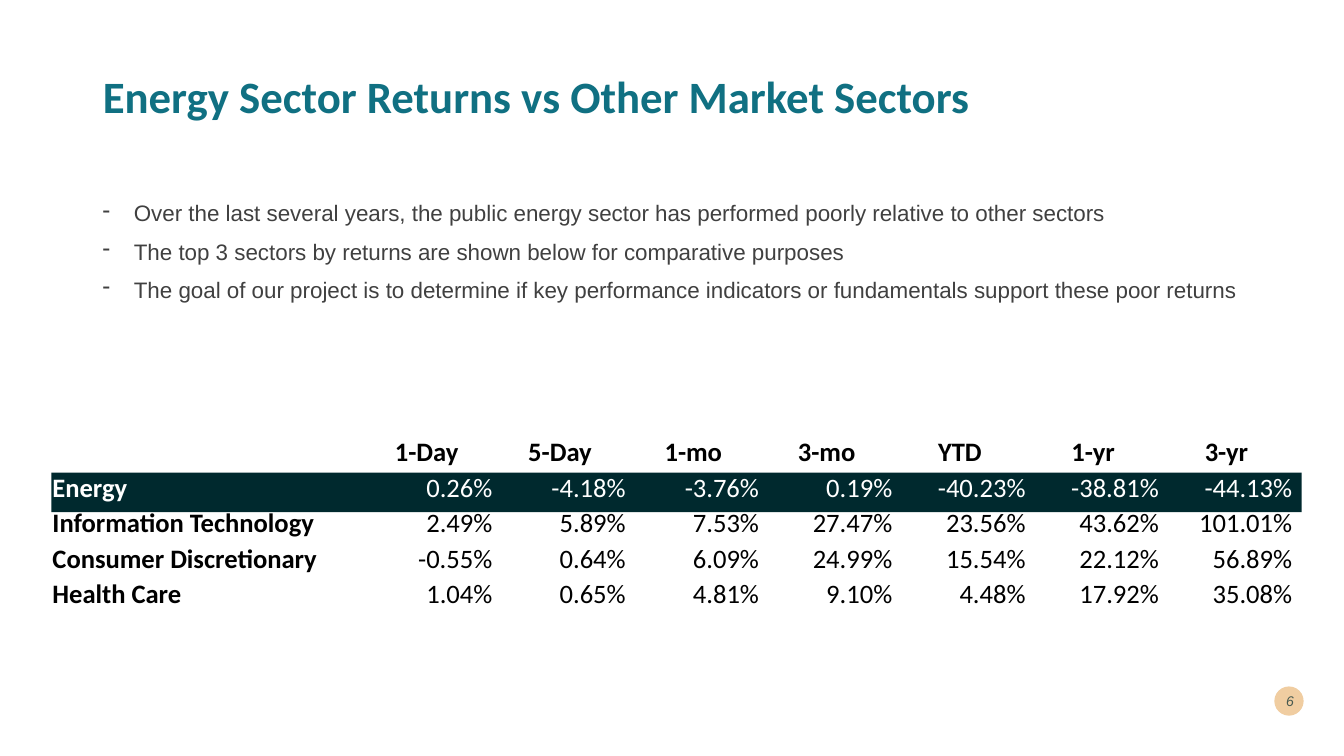
from lxml.etree import SubElement
from pptx import Presentation
from pptx.dml.color import RGBColor
from pptx.enum.shapes import MSO_SHAPE
from pptx.enum.text import MSO_ANCHOR, MSO_AUTO_SIZE, PP_ALIGN
from pptx.oxml.ns import qn
from pptx.util import Inches, Pt

TEAL = RGBColor(0x10, 0x70, 0x82)
DARK = RGBColor(0x00, 0x29, 0x2E)
SAND = RGBColor(0xF0, 0xCD, 0xA1)
GREY = RGBColor(0x40, 0x40, 0x40)
BLACK = RGBColor(0x00, 0x00, 0x00)
WHITE = RGBColor(0xFF, 0xFF, 0xFF)
HEADING, BODY = "Calibri", "Arial"
NO_STYLE = "{2D5ABB26-0587-4C30-8999-92F81FD0307C}"

TITLE = "Energy Sector Returns vs Other Market Sectors"
POINTS = [
    "Over the last several years, the public energy sector has performed poorly relative to other sectors",
    "The top 3 sectors by returns are shown below for comparative purposes",
    "The goal of our project is to determine if key performance indicators or fundamentals support these poor returns",
]
RETURNS = [
    ["", "1-Day", "5-Day", "1-mo", "3-mo", "YTD", "1-yr", "3-yr"],
    ["Energy", "0.26%", "-4.18%", "-3.76%", "0.19%", "-40.23%", "-38.81%", "-44.13%"],
    ["Information Technology", "2.49%", "5.89%", "7.53%", "27.47%", "23.56%", "43.62%", "101.01%"],
    ["Consumer Discretionary", "-0.55%", "0.64%", "6.09%", "24.99%", "15.54%", "22.12%", "56.89%"],
    ["Health Care", "1.04%", "0.65%", "4.81%", "9.10%", "4.48%", "17.92%", "35.08%"],
]


class Deck:
    def __init__(self):
        self.prs = Presentation()
        self.prs.slide_width, self.prs.slide_height = Inches(13.33), Inches(7.5)
        self.s = self.prs.slides.add_slide(self.prs.slide_layouts[5])

    def x(self, percent):
        return round(self.prs.slide_width * percent / 100)

    def y(self, percent):
        return round(self.prs.slide_height * percent / 100)

    def box(self, left, top, width, height):
        return self.x(left), self.y(top), self.x(width), self.y(height)

    def style(self, p, name, size, color, bold=False, italic=False, align=PP_ALIGN.LEFT):
        p.alignment = align
        font = p.font
        font.name, font.size, font.bold, font.italic = name, Pt(size), bold, italic
        font.color.rgb = color

    def title(self, text, *place):
        sp = self.s.shapes.title
        sp.left, sp.top, sp.width, sp.height = self.box(*place)
        tf = sp.text_frame
        tf.text = text
        tf.auto_size = MSO_AUTO_SIZE.NONE
        tf.vertical_anchor = MSO_ANCHOR.BOTTOM
        p = tf.paragraphs[0]
        p.line_spacing = 0.9
        self.style(p, HEADING, 32, TEAL, bold=True)

    def shape(self, kind, color, *place):
        sp = self.s.shapes.add_shape(kind, *self.box(*place))
        sp.shadow.inherit = False
        sp.fill.solid()
        sp.fill.fore_color.rgb = color
        sp.line.fill.background()

    def text(self, *place):
        tf = self.s.shapes.add_textbox(*self.box(*place)).text_frame
        tf.word_wrap = True
        return tf

    def bullets(self, points, *place):
        tf = self.text(*place)
        tf.margin_top = Inches(0.44)
        tf.text = "\n".join(points)
        for p in tf.paragraphs:
            p.line_spacing, p.space_after = 0.9, Pt(10)
            self.style(p, BODY, 16, GREY)
            pPr = p._p.get_or_add_pPr()
            pPr.set("marL", str(Inches(0.31)))
            pPr.set("indent", str(-Inches(0.31)))
            bullet = pPr.makeelement(qn("a:buChar"), {"char": "-"})
            pPr.find(qn("a:defRPr")).addprevious(bullet)

    def page_number(self, number, *place):
        tf = self.text(*place)
        tf.vertical_anchor = MSO_ANCHOR.MIDDLE
        tf.text = number
        p = tf.paragraphs[0]
        self.style(p, BODY, 10, DARK, italic=True, align=PP_ALIGN.RIGHT)
        color = p._p.pPr.find(".//" + qn("a:srgbClr"))
        SubElement(color, qn("a:alpha"), val="70000")

    def table(self, rows, label_width, value_width, *place):
        frame = self.s.shapes.add_table(len(rows), len(rows[0]), *self.box(*place))
        table = frame.table
        table.first_row = table.horz_banding = False
        table._tbl.tblPr.find(qn("a:tableStyleId")).text = NO_STYLE
        for j, column in enumerate(table.columns):
            column.width = self.x(value_width if j else label_width)
        for i, row in enumerate(rows):
            for j, value in enumerate(row):
                self.cell(table.cell(i, j), value, i, j)

    def cell(self, cell, value, i, j):
        cell.fill.background()
        cell.vertical_anchor = MSO_ANCHOR.BOTTOM
        cell.margin_left = cell.margin_right = cell.margin_top = Inches(0.01)
        cell.margin_bottom = 0
        cell.text = value
        align = PP_ALIGN.LEFT if j == 0 else PP_ALIGN.CENTER if i == 0 else PP_ALIGN.RIGHT
        self.style(cell.text_frame.paragraphs[0], HEADING, 19, WHITE if i == 1 else BLACK,
                   bold=i == 0 or j == 0, align=align)


def main():
    deck = Deck()
    deck.title(TITLE, 6.9, 6.67, 79.07, 10.27)
    deck.shape(MSO_SHAPE.OVAL, SAND, 94.82, 90.8, 2.18, 3.87)
    deck.shape(MSO_SHAPE.RECTANGLE, DARK, 3.83, 62.53, 93.02, 5.2)
    deck.bullets(POINTS, 6.9, 20.93, 87.17, 27.2)
    deck.page_number("6", 94.07, 90, 2.93, 5.33)
    deck.table(RETURNS, 22.96, 9.92, 3.83, 57.33, 92.4, 23.47)
    deck.prs.save("out.pptx")


if __name__ == "__main__":
    main()
